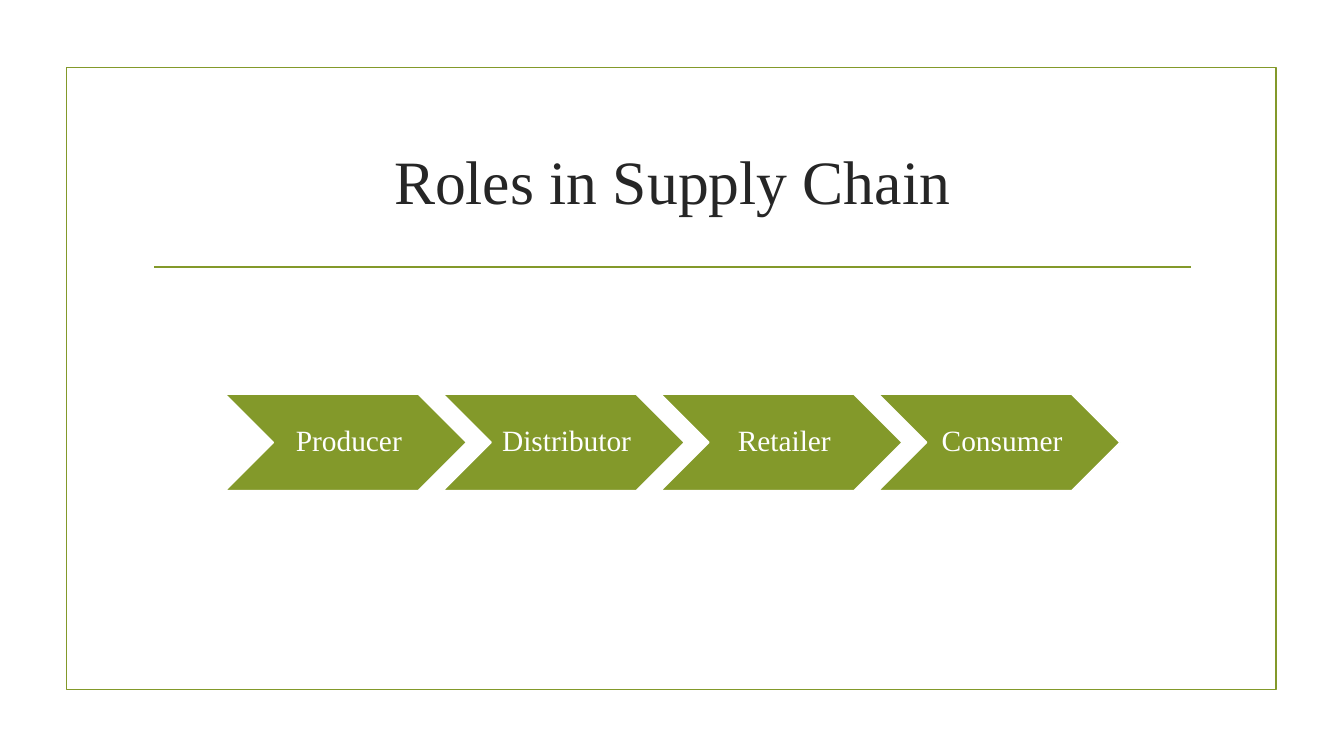
from dataclasses import dataclass

import pptx
import pptx.dml.color
import pptx.enum.shapes
import pptx.enum.text
import pptx.oxml.ns
import pptx.util
from lxml import etree

Inches = pptx.util.Inches
Pt = pptx.util.Pt
ShapeType = pptx.enum.shapes.MSO_SHAPE

FONT = "Times New Roman"
GREEN = "83992A"
WHITE = "FFFFFF"
DARK = "262626"
LINE_WIDTH = 1.25

CHEVRON_LEFT = 2.23
CHEVRON_TOP = 3.91
CHEVRON_WIDTH = 2.4
CHEVRON_HEIGHT = 0.96
CHEVRON_PITCH = 2.16


@dataclass(frozen=True)
class Role:
    name: str
    position: int

    @property
    def left(self) -> float:
        return CHEVRON_LEFT + self.position * CHEVRON_PITCH


ROLES = [
    Role(name, position)
    for position, name in enumerate(["Producer", "Distributor", "Retailer", "Consumer"])
]


def color(value: str) -> pptx.dml.color.RGBColor:
    return pptx.dml.color.RGBColor.from_string(value)


def format_line(line, value: str) -> None:
    line.color.rgb = color(value)
    line.width = Pt(LINE_WIDTH)


def write_text(text_frame, text: str, size: float, value: str):
    text_frame.text = text
    text_frame.word_wrap = True
    text_frame.auto_size = pptx.enum.text.MSO_AUTO_SIZE.NONE
    text_frame.vertical_anchor = pptx.enum.text.MSO_ANCHOR.MIDDLE
    paragraph = text_frame.paragraphs[0]
    paragraph.alignment = pptx.enum.text.PP_ALIGN.CENTER
    paragraph.font.name = FONT
    paragraph.font.size = Pt(size)
    paragraph.font.color.rgb = color(value)
    return paragraph


def add_frame(slide) -> None:
    frame = slide.shapes.add_shape(
        ShapeType.RECTANGLE, Inches(0.66), Inches(0.67), Inches(12), Inches(6.17)
    )
    frame.shadow.inherit = False
    frame.fill.background()
    format_line(frame.line, GREEN)


def add_divider(slide) -> None:
    divider = slide.shapes.add_connector(
        pptx.enum.shapes.MSO_CONNECTOR.STRAIGHT,
        Inches(1.53), Inches(2.65), Inches(11.81), Inches(2.65),
    )
    format_line(divider.line, GREEN)
    etree.SubElement(divider._element.spPr, pptx.oxml.ns.qn("a:effectLst"))


def set_title(slide, text: str) -> None:
    title = slide.shapes.title
    title.left, title.top = Inches(1.42), Inches(1.07)
    title.width, title.height = Inches(10.5), Inches(1.43)
    write_text(title.text_frame, text, 44, DARK)


def add_role(slide, role: Role) -> None:
    chevron = slide.shapes.add_shape(
        ShapeType.CHEVRON, Inches(role.left), Inches(CHEVRON_TOP),
        Inches(CHEVRON_WIDTH), Inches(CHEVRON_HEIGHT),
    )
    chevron.shadow.inherit = False
    chevron.fill.solid()
    chevron.fill.fore_color.rgb = color(GREEN)
    format_line(chevron.line, WHITE)
    text_frame = chevron.text_frame
    text_frame.margin_left = Inches(0.09)
    text_frame.margin_top = text_frame.margin_right = text_frame.margin_bottom = Inches(0.03)
    paragraph = write_text(text_frame, role.name, 21, WHITE)
    paragraph.line_spacing = 0.9


def main() -> None:
    presentation = pptx.Presentation()
    presentation.slide_width = Inches(13.33)
    presentation.slide_height = Inches(7.5)
    slide = presentation.slides.add_slide(presentation.slide_layouts.get_by_name("Title Only"))
    slide.background.fill.solid()
    slide.background.fill.fore_color.rgb = color(WHITE)
    add_frame(slide)
    add_divider(slide)
    set_title(slide, "Roles in Supply Chain")
    for role in ROLES:
        add_role(slide, role)
    presentation.save("out.pptx")


if __name__ == "__main__":
    main()
